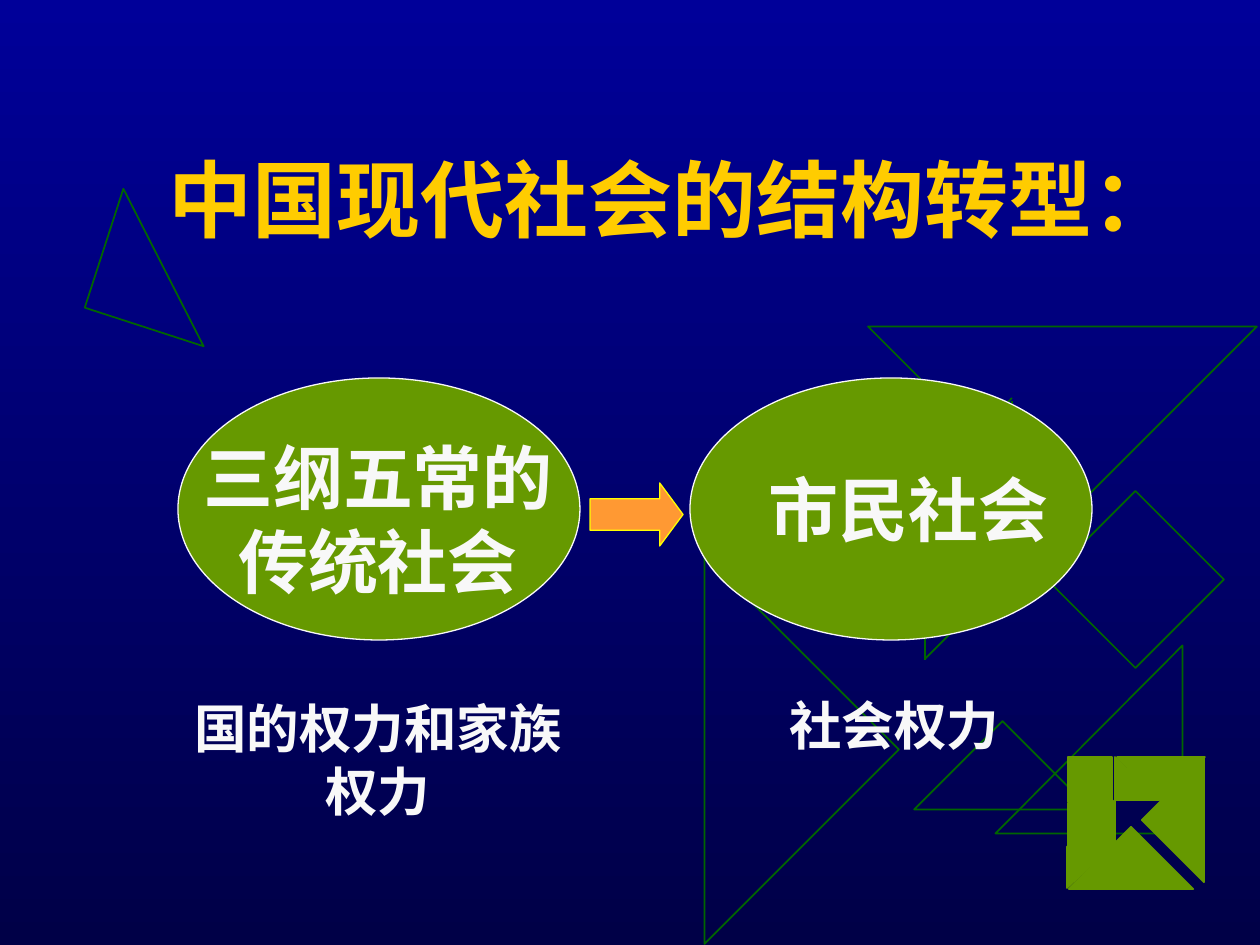
from lxml.etree import SubElement
from pptx import Presentation
from pptx.dml.color import RGBColor
from pptx.enum.shapes import MSO_CONNECTOR, MSO_SHAPE as SHAPE
from pptx.enum.text import MSO_ANCHOR as ANCHOR, MSO_AUTO_SIZE as AUTOSIZE, PP_ALIGN as ALIGN
from pptx.oxml.ns import qn
from pptx.util import Pt

PX = 914400 / 126
CJK = "Noto Sans CJK SC"
SKY, NIGHT = RGBColor(0, 0, 0x99), RGBColor(0, 0, 0x47)
OUTLINE = RGBColor(0, 0x66, 0)
LEAF = RGBColor(0x66, 0x99, 0)
GOLD = RGBColor(0xFF, 0xCC, 0)
ORANGE = RGBColor(0xFF, 0x99, 0x33)
YELLOW = RGBColor(0xFF, 0xFF, 0)
PALE = RGBColor(0xF8, 0xF8, 0xF8)

TRIANGLES = [
    ((101, 205, 125, 125), 108, True),
    ((940, 747, 125, 125), 225, True),
    ((995, 646, 188, 187), 270, False),
    ((567, 612, 275, 275), 225, False),
    ((779, 466, 125, 125), 135, True),
    ((925, 189, 275, 275), 315, False),
]
RIBBON_EDGES = [
    (1012, 401, 1012, 572),
    (925, 485, 925, 660),
    (925, 659, 1012, 572),
    (925, 486, 1012, 398),
]
EMBLEM_PARTS = [
    (SHAPE.RECTANGLE, (1068, 757, 44, 45), 0, False),
    (SHAPE.RIGHT_TRIANGLE, (1160, 776, 88, 88), 45, False),
    (SHAPE.RIGHT_TRIANGLE, (1130, 726, 62, 62), 315, False),
    (SHAPE.RIGHT_TRIANGLE, (1087, 845, 88, 88), 135, False),
    (SHAPE.RIGHT_TRIANGLE, (1115, 757, 44, 43), 0, False),
    (SHAPE.RIGHT_TRIANGLE, (1068, 803, 43, 43), 180, True),
]
EMBLEM_FOLD = [(1067, 888), (1115, 843), (1115, 800), (1067, 847)]


def emu(*lengths):
    return [round(length * PX) for length in lengths]


def paint(shape, fill, line, width):
    shape.shadow.inherit = False
    if fill is None:
        shape.fill.background()
    else:
        shape.fill.solid()
        shape.fill.fore_color.rgb = fill
    shape.line.color.rgb = line
    shape.line.width = Pt(width)


def add_figure(slide, preset, box, fill, line, width=1, turn=0, flip=False):
    figure = slide.shapes.add_shape(preset, *emu(*box))
    paint(figure, fill, line, width)
    figure.rotation = turn
    if flip:
        figure.element.spPr.find(qn("a:xfrm")).set("flipH", "1")
    return figure


def add_edge(slide, ends):
    edge = slide.shapes.add_connector(MSO_CONNECTOR.STRAIGHT, *emu(*ends))
    edge.line.color.rgb = OUTLINE
    edge.line.width = Pt(1)
    SubElement(edge.element.spPr, qn("a:effectLst"))


def write(frame, wording, size, colour, face=CJK, align=ALIGN.CENTER, autosize=AUTOSIZE.SHAPE_TO_FIT_TEXT):
    for name, value in dict(word_wrap=True, auto_size=autosize, vertical_anchor=ANCHOR.TOP).items():
        setattr(frame, name, value)
    paragraph = frame.paragraphs[0]
    paragraph.alignment = align
    paragraph.space_before = Pt(0)
    run = paragraph.add_run()
    run.text = wording
    run.font.color.rgb = colour
    for name, value in dict(size=Pt(size), bold=True, name=face).items():
        setattr(run.font, name, value)
    SubElement(run.font._element, qn("a:ea")).set("typeface", CJK)
    return paragraph


def add_label(slide, box, *wording, **style):
    label = slide.shapes.add_textbox(*emu(*box))
    write(label.text_frame, *wording, **style)


def set_background(slide):
    fill = slide.background.fill
    fill.gradient()
    fill.gradient_angle = 270
    for stop, colour, position in zip(fill.gradient_stops, (SKY, NIGHT), (0, 1)):
        stop.color.rgb = colour
        stop.position = position


def set_title(slide):
    title = slide.shapes.title
    title.left, title.top, title.width, title.height = emu(116, 126, 1113, 179)
    heading = write(title.text_frame, "中国现代社会的结构转型：", 48, GOLD, autosize=AUTOSIZE.NONE)
    heading.line_spacing = 1.15


def add_decoration(slide):
    for box, turn, flip in TRIANGLES:
        add_figure(slide, SHAPE.RIGHT_TRIANGLE, box, None, OUTLINE, turn=turn, flip=flip)
    add_figure(slide, SHAPE.DIAMOND, (1047, 491, 177, 177), None, OUTLINE)
    for ends in RIBBON_EDGES:
        add_edge(slide, ends)


def add_transition(slide):
    for left in (178, 690):
        add_figure(slide, SHAPE.OVAL, (left, 378, 402, 262), LEAF, PALE, 0.75)
    arrow = add_figure(slide, SHAPE.RIGHT_ARROW, (590, 483, 93, 63), ORANGE, YELLOW, 0.75)
    arrow.adjustments[1] = 0.37
    add_label(slide, (178, 428, 400, 181), "三纲五常的传统社会", 40, PALE)
    add_label(slide, (746, 460, 325, 97), "市民社会", 40, PALE)
    add_label(slide, (178, 690, 400, 139), "国的权力和家族权力", 30, PALE, face="Arial")
    add_label(slide, (777, 687, 325, 76), "社会权力", 30, PALE, face="Arial", align=ALIGN.LEFT)


def add_emblem(slide):
    for preset, box, turn, flip in EMBLEM_PARTS:
        add_figure(slide, preset, box, LEAF, LEAF, turn=turn, flip=flip)
    start, *others = EMBLEM_FOLD
    outline = slide.shapes.build_freeform(*start, scale=PX)
    outline.add_line_segments(others, close=True)
    paint(outline.convert_to_shape(), LEAF, LEAF, 1)


def main():
    deck = Presentation()
    deck.slide_width, deck.slide_height = emu(1260, 945)
    slide = deck.slides.add_slide(deck.slide_layouts[5])
    set_background(slide)
    set_title(slide)
    add_decoration(slide)
    add_transition(slide)
    add_emblem(slide)
    deck.save("out.pptx")


if __name__ == "__main__":
    main()
